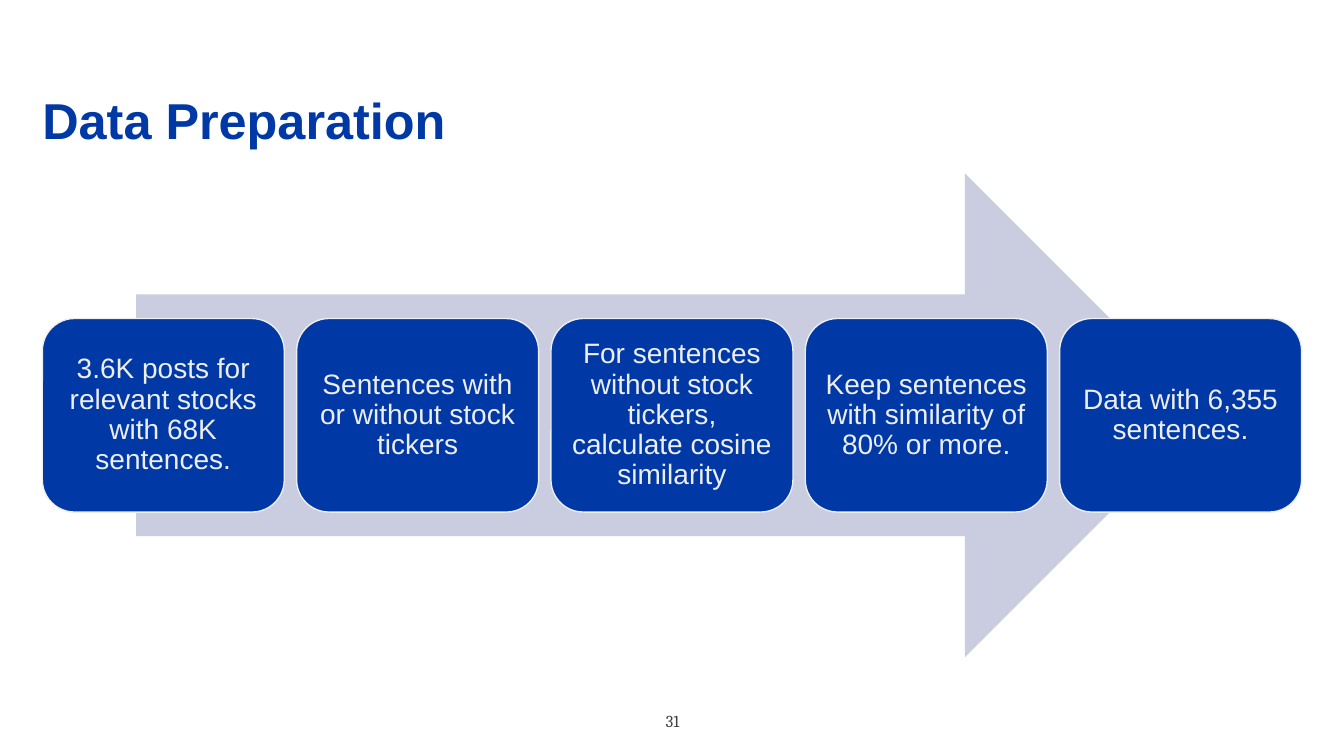
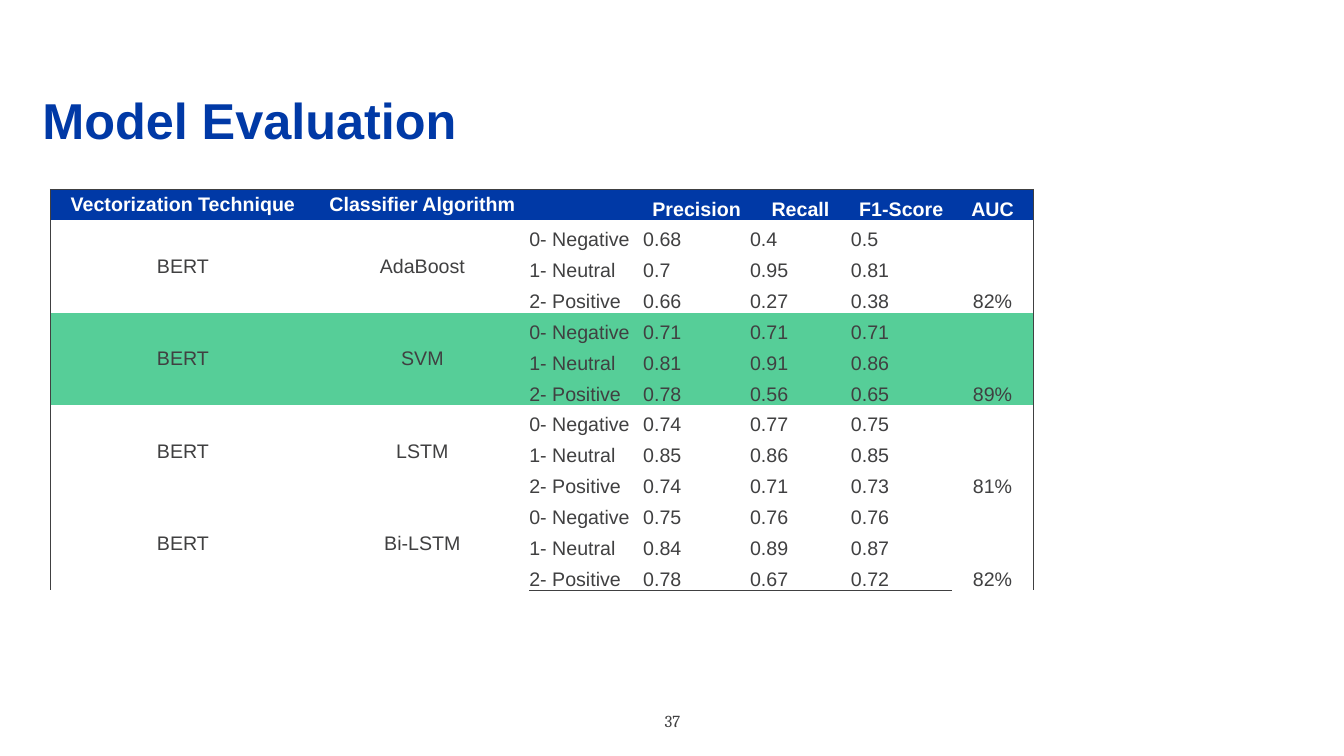
import pptx
import pptx.util
import pptx.dml.color
import pptx.enum.shapes
import pptx.enum.text
import pptx.oxml

Inches = pptx.util.Inches
ALIGN = pptx.enum.text.PP_ALIGN
ANCHOR = pptx.enum.text.MSO_ANCHOR
SHAPE = pptx.enum.shapes.MSO_SHAPE
color = pptx.dml.color.RGBColor.from_string

BLUE = "0039A6"
PALE_BLUE = "CACCE0"
GREEN = "56CE98"
DARK = "404041"
OFF_WHITE = "EDEEEF"
WHITE = "FFFFFE"
LEFT = 0.42


def write(area, text, size, hue, font="Arial", bold=False, align=ALIGN.LEFT,
          anchor=ANCHOR.MIDDLE, inset=0, spacing=None):
    """Put one styled paragraph in a text frame or a table cell."""
    area.margin_left = area.margin_right = Inches(inset)
    area.margin_top = area.margin_bottom = Inches(inset)
    area.vertical_anchor = anchor
    frame = getattr(area, "text_frame", area)
    frame.word_wrap = True
    frame.text = text
    para = frame.paragraphs[0]
    para.alignment = align
    para.line_spacing = spacing
    for span in para.runs:
        span.font.name = font
        span.font.size = pptx.util.Pt(size)
        span.font.bold = bold
        span.font.color.rgb = color(hue)


def add_page(title, number):
    page = deck.slides.add_slide(deck.slide_layouts[6])
    box = page.shapes.add_textbox(Inches(LEFT), Inches(0.94), Inches(12.5), Inches(0.55))
    write(box.text_frame, title, 36, BLUE, bold=True, anchor=ANCHOR.BOTTOM, spacing=0.9)
    box = page.shapes.add_textbox(Inches(5.17), Inches(6.95), Inches(3), Inches(0.4))
    write(box.text_frame, str(number), 12, DARK, font="Cambria", align=ALIGN.CENTER, inset=0.05)
    return page


deck = pptx.Presentation()
deck.slide_width = Inches(13.33)
deck.slide_height = Inches(7.5)

# Data preparation: five steps along an arrow
page = add_page("Data Preparation", 31)
arrow = page.shapes.add_shape(SHAPE.RIGHT_ARROW, Inches(1.35), Inches(1.72),
                              Inches(10.62), Inches(4.8))
arrow.shadow.inherit = False
arrow.fill.solid()
arrow.fill.fore_color.rgb = color(PALE_BLUE)
arrow.line.fill.background()

steps = [
    "3.6K posts for relevant stocks with 68K sentences.",
    "Sentences with or without stock tickers",
    "For sentences without stock tickers, calculate cosine similarity",
    "Keep sentences with similarity of 80% or more.",
    "Data with 6,355 sentences.",
]
step_width = 2.4
step_gap = (12.49 - len(steps) * step_width) / (len(steps) - 1)
for index, step in enumerate(steps):
    card = page.shapes.add_shape(
        SHAPE.ROUNDED_RECTANGLE, Inches(LEFT + index * (step_width + step_gap)),
        Inches(3.16), Inches(step_width), Inches(1.92))
    card.shadow.inherit = False
    card.fill.solid()
    card.fill.fore_color.rgb = color(BLUE)
    card.line.color.rgb = color(OFF_WHITE)
    card.line.width = pptx.util.Pt(1)
    write(card.text_frame, step, 20, OFF_WHITE, align=ALIGN.CENTER, inset=0.08, spacing=0.9)

# Model evaluation: three sentiment classes for each model
page = add_page("Model Evaluation", 37)
headings = ["Vectorization Technique", "Classifier Algorithm", "",
            "Precision", "Recall", "F1-Score", "AUC"]
widths = [2.63, 2.12, 1.13, 1.06, 1, 1, 0.81]
sentiments = ["0- Negative", "1- Neutral", "2- Positive"]
models = [
    ("AdaBoost", "82%", [("0.68", "0.4", "0.5"), ("0.7", "0.95", "0.81"), ("0.66", "0.27", "0.38")]),
    ("SVM", "89%", [("0.71", "0.71", "0.71"), ("0.81", "0.91", "0.86"), ("0.78", "0.56", "0.65")]),
    ("LSTM", "81%", [("0.74", "0.77", "0.75"), ("0.85", "0.86", "0.85"), ("0.74", "0.71", "0.73")]),
    ("Bi-LSTM", "82%", [("0.75", "0.76", "0.76"), ("0.84", "0.89", "0.87"), ("0.78", "0.67", "0.72")]),
]
best_model = "SVM"

rows = [headings]
fills = [BLUE]
for name, auc, scores in models:
    for sentiment, values in zip(sentiments, scores):
        first = sentiment == sentiments[0]
        shared = ("BERT", name, auc) if first else ("", "", "")
        rows.append([*shared[:2], sentiment, *values, shared[2]])
        fills.append(GREEN if name == best_model else None)

table_height = 3.98
holder = page.shapes.add_table(len(rows), len(widths), Inches(0.5), Inches(1.88),
                               Inches(sum(widths)), Inches(table_height))
table = holder.table
# The "No Style, No Grid" table style
table._tbl.tblPr.find(pptx.oxml.ns.qn("a:tableStyleId")).text = "{2D5ABB26-0587-4C30-8999-92F81FD0307C}"
table.first_row = table.horz_banding = False
for column, width in zip(table.columns, widths):
    column.width = Inches(width)
for row in table.rows:
    row.height = Inches(table_height / len(rows))

last_row, last_column = len(rows) - 1, len(widths) - 1
for r, values in enumerate(rows):
    for c, value in enumerate(values):
        cell = table.cell(r, c)
        centred = r == 0 or c in (0, 1, last_column)
        write(cell, value, 14, WHITE if r == 0 else DARK, bold=r == 0,
              align=ALIGN.CENTER if centred else ALIGN.LEFT,
              anchor=ANCHOR.MIDDLE if c < 2 else ANCHOR.BOTTOM)
        edges = {"lnL": c == 0, "lnR": c == last_column, "lnT": r == 0, "lnB": r == last_row}
        for tag, on_edge in edges.items():
            if on_edge:
                cell._tc.get_or_add_tcPr().append(pptx.oxml.parse_xml(
                    f'<a:{tag} xmlns:a="http://schemas.openxmlformats.org/drawingml/2006/main" w="12700">'
                    f'<a:solidFill><a:srgbClr val="{DARK}"/></a:solidFill></a:{tag}>'))
        if fills[r]:
            cell.fill.solid()
            cell.fill.fore_color.rgb = color(fills[r])
        else:
            cell.fill.background()

for top in range(1, len(rows), len(sentiments)):
    for c in (0, 1, last_column):
        table.cell(top, c).merge(table.cell(top + len(sentiments) - 1, c))

deck.save("out.pptx")
